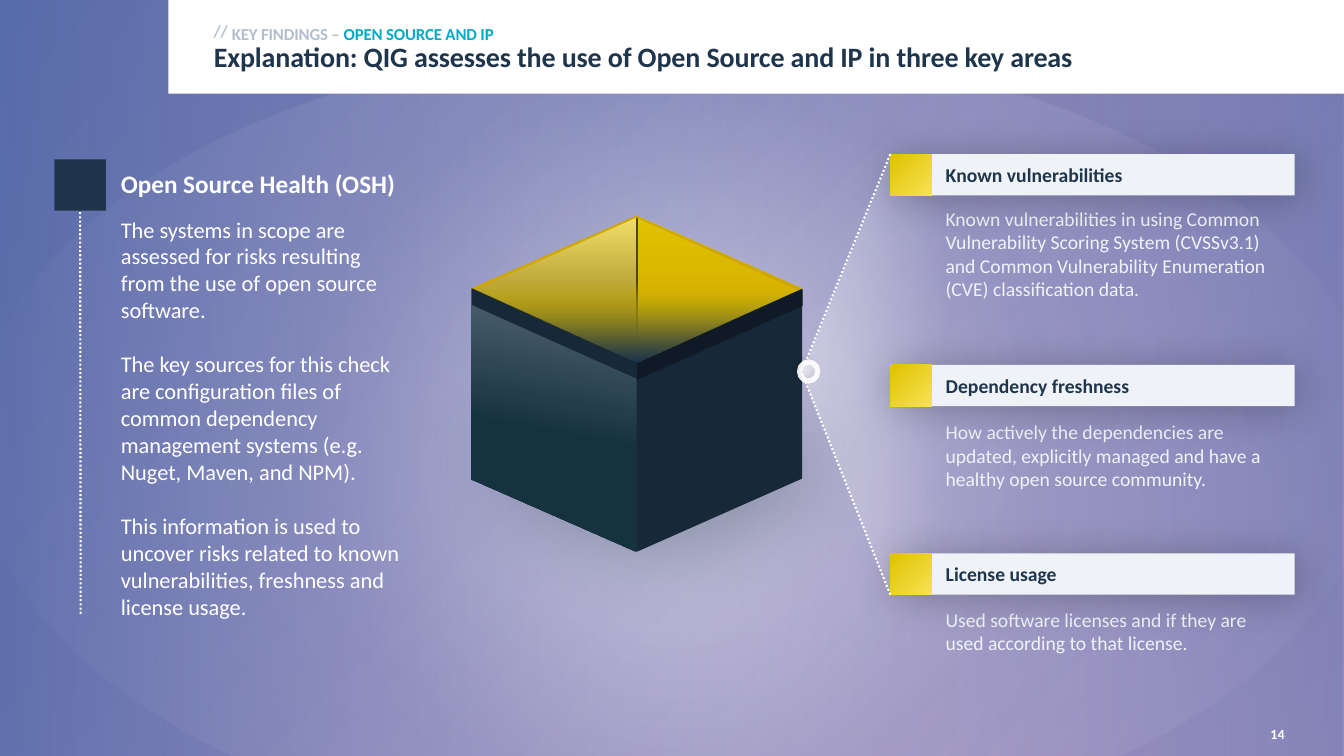
from pptx import Presentation
from pptx.dml.color import RGBColor
from pptx.enum.dml import MSO_LINE
from pptx.enum.shapes import MSO_CONNECTOR, MSO_SHAPE as Preset
from pptx.enum.text import MSO_ANCHOR as Anchor, MSO_AUTO_SIZE as Fit, PP_ALIGN as Align
from pptx.oxml import parse_xml
from pptx.oxml.ns import nsdecls, qn
from pptx.oxml.xmlchemy import OxmlElement
from pptx.util import Inches, Pt

# Grid of one-inch cells
COLS, ROWS = 13.33, 7.5
NAVY, MIST, WHITE, GREY, CYAN = "1F354B", "EFF3F8", "FFFFFF", "B2BECD", "04ABC8"
BLUE, LILAC, SLATE = "576BAA", "AA98C4", "172838"
GOLD, BRONZE, OLIVE = "E0C201", "D0A600", "806600"
CARD_LEFT, CARD_WIDTH, CARD_HEIGHT = 8.83, 4.01, 0.41
HUB = (7.95, 3.69)

HEALTH = [
    "The systems in scope are assessed for risks resulting from the use of open source software.",
    "The key sources for this check are configuration files of common dependency "
    "management systems (e.g. Nuget, Maven, and NPM).",
    "This information is used to uncover risks related to known vulnerabilities, "
    "freshness and license usage.",
]
# Card top, text top, text height, heading, text
AREAS = [
    (1.53, 2.0, 1.04, "Known vulnerabilities",
     "Known vulnerabilities in using Common Vulnerability Scoring System (CVSSv3.1) "
     "and Common Vulnerability Enumeration (CVE) classification data."),
    (3.62, 4.12, 0.81, "Dependency freshness",
     "How actively the dependencies are updated, explicitly managed and have a "
     "healthy open source community."),
    (5.49, 5.98, 0.57, "License usage",
     "Used software licenses and if they are used according to that license."),
]


def cells(*counts):
    return [Inches(count) for count in counts]


def rgb(code):
    return RGBColor.from_string(code)


def apply(target, **values):
    for name, value in values.items():
        setattr(target, name, value)


def effect(shape, tag, attributes, color=None, alpha=100):
    item = OxmlElement(tag)
    for name, value in attributes.items():
        item.set(name, str(value))
    if color:
        tint = OxmlElement("a:srgbClr")
        tint.set("val", color)
        item.append(tint)
        fade(item, alpha)
    shape._element.spPr.find(qn("a:effectLst")).append(item)


def shadow(shape, alpha, blur, distance, angle):
    effect(shape, "a:outerShdw", {"blurRad": Pt(blur), "dist": Pt(distance),
                                  "dir": angle * 60000, "rotWithShape": 0}, "000000", alpha)


def fade(element, percent):
    for color in element.iter(qn("a:srgbClr")):
        alpha = OxmlElement("a:alpha")
        alpha.set("val", str(percent * 1000))
        color.append(alpha)


def gradient(shape, stops, angle):
    """Stops are (position, colour[, opacity]); an angle of None is radial."""
    marks = "".join(
        f'<a:gs pos="{pos * 1000}"><a:srgbClr val="{color}">'
        f'<a:alpha val="{(opacity or [100])[0] * 1000}"/></a:srgbClr></a:gs>'
        for pos, color, *opacity in stops)
    course = (f'<a:lin ang="{angle * 60000}" scaled="0"/>' if angle is not None else
              '<a:path path="circle"><a:fillToRect l="50000" t="50000" r="50000" b="50000"/></a:path>')
    shape.fill.gradient()
    props = shape._element.spPr
    props.replace(props.find(qn("a:gradFill")), parse_xml(
        f'<a:gradFill {nsdecls("a")} rotWithShape="1"><a:gsLst>{marks}</a:gsLst>{course}</a:gradFill>'))


def paint(shape, fill, angle=0):
    shape.shadow.inherit = False
    shape.line.fill.background()
    if isinstance(fill, str):
        shape.fill.solid()
        shape.fill.fore_color.rgb = rgb(fill)
    else:
        gradient(shape, fill, angle)
    return shape


def block(shapes, preset, at, fill, angle=0, turn=0, flip=None, slant=None):
    shape = shapes.add_shape(preset, *cells(*at))
    shape.rotation = turn
    if flip:
        shape._element.spPr.xfrm.set(flip, "1")
    if slant:
        shape.adjustments[0] = slant
    return paint(shape, fill, angle)


def outline(shapes, points, fill, angle=0):
    first, *rest = [cells(*point) for point in points]
    builder = shapes.build_freeform(*first, scale=1.0)
    builder.add_line_segments(rest, close=True)
    return paint(builder.convert_to_shape(), fill, angle)


def stroke(shapes, start, end, color=WHITE, width=1.5, dash=MSO_LINE.ROUND_DOT):
    line = shapes.add_connector(MSO_CONNECTOR.STRAIGHT, *cells(*start, *end))
    line.line.color.rgb = rgb(color)
    apply(line.line, width=Pt(width), dash_style=dash)
    line._element.spPr.append(OxmlElement("a:effectLst"))
    return line


def write(frame, paragraphs, size, color, bold=False, spacing=None, insets=None,
          anchor=Anchor.TOP, wrap=True, **layout):
    """Each paragraph is a string or a list of (text, colour) runs."""
    apply(frame, word_wrap=wrap, auto_size=Fit.NONE, vertical_anchor=anchor)
    if insets:
        sides = ("margin_left", "margin_top", "margin_right", "margin_bottom")
        apply(frame, **dict(zip(sides, cells(*insets))))
    for index, content in enumerate(paragraphs):
        paragraph = frame.add_paragraph() if index else frame.paragraphs[0]
        apply(paragraph, **{"alignment": Align.LEFT, **layout})
        paragraph.space_before = Pt(19.5 if index else 0)
        for text, tint in [(content, color)] if isinstance(content, str) else content:
            run = paragraph.add_run()
            run.text = text
            apply(run.font, name="Calibri", size=Pt(size), bold=bold)
            run.font.color.rgb = rgb(tint)
            if spacing:
                run._r.get_or_add_rPr().set("spc", str(spacing))


def label(shapes, at, paragraphs, size, color, **options):
    write(shapes.add_textbox(*cells(*at)).text_frame, paragraphs, size, color, **options)


def backdrop(shapes):
    page = (0, 0, COLS, ROWS)
    block(shapes, Preset.RECTANGLE, page, [(0, BLUE), (100, LILAC)], 45)
    block(shapes, Preset.OVAL, (-0.25, 0.42, 13.92, 7.99),
          [(0, WHITE, 57), (45, WHITE, 15), (100, WHITE, 0)], None)
    block(shapes, Preset.RECTANGLE, page, [(0, BLUE, 65), (50, LILAC, 0), (100, BLUE, 45)])
    block(shapes, Preset.RECTANGLE, (1.67, 0, COLS - 1.67, 0.93), WHITE)


def heading(slide):
    title, topic = slide.placeholders
    for holder, at in ((topic, (2.3, 0.19, 10.54, 0.24)), (title, (2.12, 0.43, 10.73, 0.31))):
        apply(holder, **dict(zip(("left", "top", "width", "height"), cells(*at))))
        slide.shapes._spTree.append(holder._element)
    props = topic.text_frame.paragraphs[0]._p.get_or_add_pPr()
    props.set("marL", "0")
    props.set("indent", "0")
    props.append(OxmlElement("a:buNone"))
    write(topic.text_frame, [[("KEY FINDINGS – ", GREY), ("OPEN SOURCE AND IP", CYAN)]], 12, GREY,
          bold=True, spacing=-10, insets=(0, 0.02, 0.1, 0), line_spacing=1.14)
    write(title.text_frame, ["Explanation: QIG assesses the use of Open Source and IP in three key areas"],
          20, NAVY, bold=True, spacing=-10, insets=(0, 0, 0, 0), line_spacing=0.9)
    label(slide.shapes, (2.02, 0.16, 0.37, 0.3), ["//"], 12, GREY, bold=True, spacing=-10,
          anchor=Anchor.MIDDLE)


def cube(shapes):
    ground = block(shapes, Preset.OVAL, (3.67, 2.82, 5.71, 3.62), "17323F")
    fade(ground._element.spPr, 35)
    effect(ground, "a:softEdge", {"rad": Inches(0.88)})
    parts = shapes.add_group_shape().shapes
    lid = (4.71, 2.15, 3.22, 1.45)
    shade = [(45, GOLD, 0), (98, NAVY)]
    # Lid and sides
    block(parts, Preset.DIAMOND, (4.68, 2.14, 3.28, 1.45), [(0, GOLD), (93, BRONZE)], 90)
    block(parts, Preset.ISOSCELES_TRIANGLE, (4.77, 2.06, 1.45, 1.63),
          [(0, "F1DE68"), (100, OLIVE)], turn=90, flip="flipV")
    block(parts, Preset.PARALLELOGRAM, (4.19, 3.35, 2.61, 1.64),
          [(0, "586B77"), (55, "17323F")], 10, turn=90, slant=0.439)
    block(parts, Preset.PARALLELOGRAM, (5.83, 3.35, 2.61, 1.64), SLATE,
          turn=270, flip="flipH", slant=0.443)
    stroke(parts, (6.32, 2.14), (6.32, 3.6), "524702", 1, MSO_LINE.SOLID)
    block(parts, Preset.DIAMOND, lid, [(50, GOLD, 0), (100, OLIVE)], 90)
    # Rims and shading
    outline(parts, [(6.31, 2.14), (7.95, 2.86), (7.92, 2.88), (6.31, 2.16), (4.7, 2.88), (4.68, 2.86)],
            BRONZE)
    block(parts, Preset.PARALLELOGRAM, (5.05, 2.49, 0.9, 1.64), SLATE, turn=90, slant=0.815)
    block(parts, Preset.PARALLELOGRAM, (6.69, 2.5, 0.9, 1.64), "101A26",
          turn=270, flip="flipH", slant=0.815)
    for layer in (parts, shapes):
        block(layer, Preset.DIAMOND, lid, shade, 90)


def health(shapes):
    marker = block(shapes, Preset.RECTANGLE, (0.54, 1.58, 0.51, 0.51), NAVY)
    label(shapes, (1.1, 1.62, 2.98, 0.4), ["Open Source Health (OSH)"], 18, WHITE, bold=True)
    label(shapes, (1.1, 2.09, 3.02, 4.59), HEALTH, 16, WHITE)
    stroke(shapes, (0.8, 6.09), (0.8, 2.09)).end_connect(marker, 2)


def area(shapes, top, text_top, text_height, name, text):
    label(shapes, (9.28, text_top, 3.54, text_height), [text], 14, MIST)
    card = block(shapes, Preset.RECTANGLE, (CARD_LEFT, top, CARD_WIDTH, CARD_HEIGHT), MIST)
    shadow(card, 25, 30, 3, 45)
    write(card.text_frame, [name], 14, NAVY, bold=True, insets=(0.55, 0.08, 0.12, 0.08),
          anchor=Anchor.MIDDLE)
    block(shapes, Preset.RECTANGLE, (CARD_LEFT, top, CARD_HEIGHT, CARD_HEIGHT),
          [(0, "DFC101"), (100, "F8E353")], 45)


def hub(shapes):
    for end in (AREAS[0][0], AREAS[-1][0] + CARD_HEIGHT):
        stroke(shapes, (CARD_LEFT, end), HUB)
    ring = block(shapes, Preset.OVAL, (7.93, 3.59, 0.18, 0.19), [(0, WHITE, 75), (100, WHITE, 0)], 45)
    ring.line.color.rgb = rgb(WHITE)
    ring.line.width = Pt(3.75)
    fade(ring.line._get_or_add_ln(), 90)
    shadow(ring, 6, 3, 3, 225)


def main():
    deck = Presentation()
    deck.slide_width, deck.slide_height = cells(COLS, ROWS)
    slide = deck.slides.add_slide(deck.slide_layouts[1])
    shapes = slide.shapes
    for holder in list(slide.placeholders)[2:]:
        holder._element.getparent().remove(holder._element)
    backdrop(shapes)
    # Light fan from the cube to the cards
    outline(shapes, [(8.84, 1.53), (9.41, 1.53), (9.41, 5.9), (8.84, 5.9), (7.96, 3.7)],
            [(0, WHITE, 37), (100, WHITE, 0)])
    heading(slide)
    cube(shapes)
    for details in AREAS:
        area(shapes, *details)
    health(shapes)
    hub(shapes)
    label(shapes, (12.57, 7.16, 0.27, 0.26), ["14"], 10, WHITE, bold=True, spacing=10, wrap=False,
          insets=(0, 0.04, 0.1, 0.05), anchor=Anchor.MIDDLE, alignment=Align.RIGHT)
    deck.save("out.pptx")


if __name__ == "__main__":
    main()
